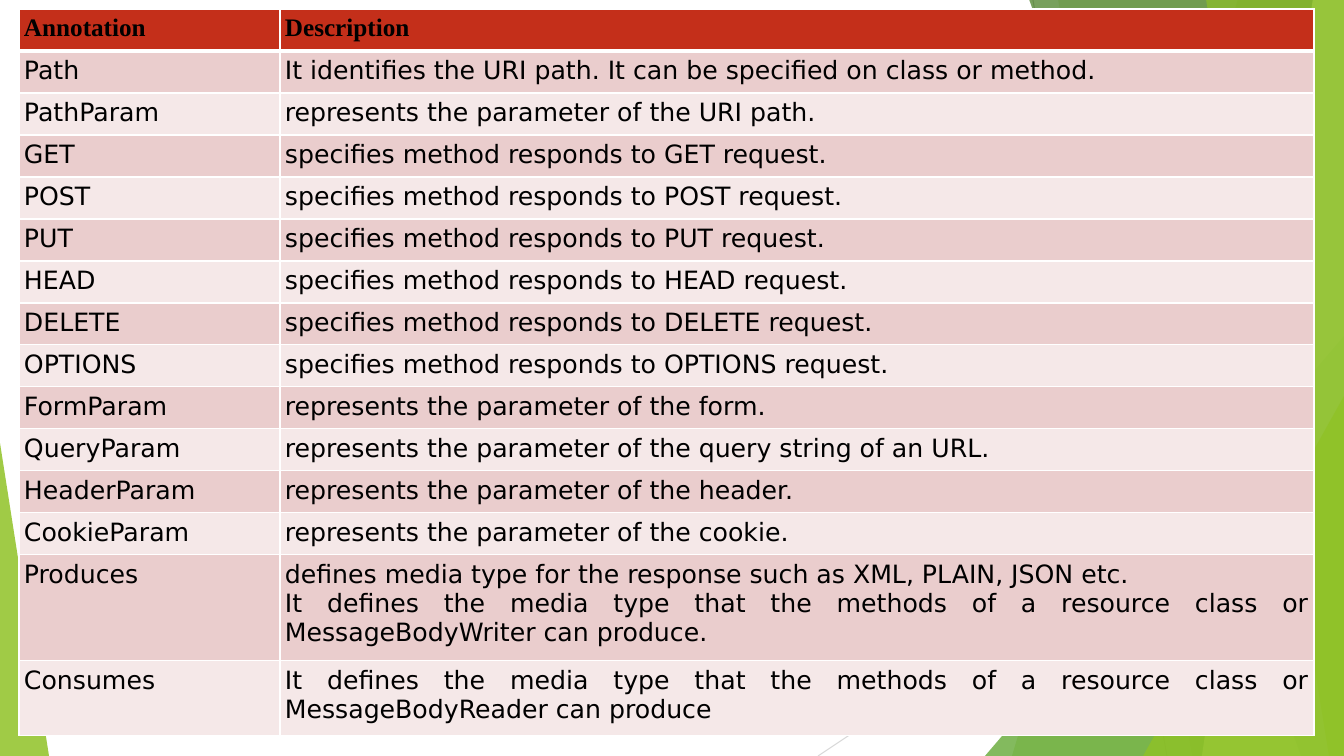
from dataclasses import dataclass

import pptx
import pptx.dml.color
import pptx.enum.shapes
import pptx.enum.text
import pptx.oxml
import pptx.oxml.ns
import pptx.util

RGBColor = pptx.dml.color.RGBColor
WHITE = RGBColor(0xFF, 0xFF, 0xFF)
BLACK = RGBColor(0x00, 0x00, 0x00)
RED = RGBColor(0xC4, 0x2F, 0x1A)
ROSE = RGBColor(0xEA, 0xCD, 0xCD)
PALE_ROSE = RGBColor(0xF5, 0xE8, 0xE8)
LEAF = RGBColor(0x90, 0xC2, 0x26)
GRASS = RGBColor(0x54, 0xA0, 0x21)
FOREST = RGBColor(0x3F, 0x78, 0x19)
LIME = RGBColor(0xC0, 0xE4, 0x74)
GREY = RGBColor(0xBF, 0xBF, 0xBF)
LIGHT_GREY = RGBColor(0xD9, 0xD9, 0xD9)

SLIDE_W, SLIDE_H = 1344, 756
EMU_PER_PX = 12192000 / SLIDE_W
BODY_FONT, HEADER_FONT = "DejaVu Sans", "Times New Roman"
JUSTIFY = pptx.enum.text.PP_ALIGN.JUSTIFY


@dataclass
class Ray:
    start: tuple[int, int]
    end: tuple[int, int]
    color: RGBColor


@dataclass
class Band:
    """Runs down the right edge, its left side slanting from top_x to bottom_x."""
    top_x: int
    bottom_x: int
    color: RGBColor
    opacity: int


@dataclass
class Wedge:
    left: int
    top: int
    width: int
    apex: float
    color: RGBColor
    opacity: int


@dataclass
class Annotation:
    name: str
    description: str
    height: int = 42


RAYS = [
    Ray((1033, 0), (1167, SLIDE_H), GREY),
    Ray((SLIDE_W, 406), (818, SLIDE_H), LIGHT_GREY),
]
# Facets from back to front
FACETS = [
    Band(1238, 1012, LEAF, 30),
    Band(1058, 1192, LEAF, 20),
    Wedge(985, 336, 359, 1, GRASS, 72),
    Band(1029, 1301, FOREST, 70),
    Band(1313, 1202, LIME, 70),
    Band(1206, 1329, LEAF, 65),
    Wedge(1143, 396, 201, 1, LEAF, 80),
    Wedge(0, 443, 49, 0, LEAF, 85),
]
HTTP_METHODS = ["GET", "POST", "PUT", "HEAD", "DELETE", "OPTIONS"]
PARAMETERS = {
    "FormParam": "form",
    "QueryParam": "query string of an URL",
    "HeaderParam": "header",
    "CookieParam": "cookie",
}
ANNOTATIONS = [
    Annotation("Annotation", "Description"),
    Annotation("Path", "It identifies the URI path. It can be specified on class or method."),
    Annotation("PathParam", "represents the parameter of the URI path."),
    *(Annotation(method, f"specifies method responds to {method} request.")
      for method in HTTP_METHODS),
    *(Annotation(name, f"represents the parameter of the {part}.")
      for name, part in PARAMETERS.items()),
    Annotation("Produces",
               "defines media type for the response such as XML, PLAIN, JSON etc.\n"
               "It defines the media type that the methods of a resource class or "
               "MessageBodyWriter can produce.", 106),
    Annotation("Consumes",
               "It defines the media type that the methods of a resource class or "
               "MessageBodyReader can produce", 75),
]


def px(length: int) -> pptx.util.Emu:
    return pptx.util.Emu(round(length * EMU_PER_PX))


def draw_ray(slide, ray: Ray) -> None:
    line = slide.shapes.add_connector(
        pptx.enum.shapes.MSO_CONNECTOR.STRAIGHT,
        *map(px, ray.start), *map(px, ray.end))
    line.line.color.rgb = ray.color
    line.line.width = pptx.util.Pt(0.75)
    pptx.oxml.ns.qn("a:effectLst")
    line._element.spPr.append(
        pptx.oxml.parse_xml(f"<a:effectLst {pptx.oxml.ns.nsdecls('a')}/>"))


def draw_facet(slide, facet: Band | Wedge) -> None:
    if isinstance(facet, Band):
        builder = slide.shapes.build_freeform(facet.top_x, -1, scale=EMU_PER_PX)
        builder.add_line_segments(
            [(SLIDE_W, -1), (SLIDE_W, SLIDE_H), (facet.bottom_x, SLIDE_H)], close=True)
        shape = builder.convert_to_shape()
    else:
        shape = slide.shapes.add_shape(
            pptx.enum.shapes.MSO_SHAPE.ISOSCELES_TRIANGLE,
            px(facet.left), px(facet.top), px(facet.width), px(SLIDE_H - facet.top))
        shape.adjustments[0] = facet.apex
    shape.shadow.inherit = False
    shape.line.fill.background()
    shape.fill.solid()
    shape.fill.fore_color.rgb = facet.color
    color = shape._element.spPr.find(".//" + pptx.oxml.ns.qn("a:srgbClr"))
    color.append(pptx.oxml.parse_xml(
        f'<a:alpha {pptx.oxml.ns.nsdecls("a")} val="{facet.opacity * 1000}"/>'))


def write_text(frame, text: str, *, font: str, bold: bool = False, align=None) -> None:
    frame.text = text
    for paragraph in frame.paragraphs:
        paragraph.alignment = align
        for run in paragraph.runs:
            run.font.name = font
            run.font.size = pptx.util.Pt(18)
            run.font.bold = bold
            run.font.color.rgb = BLACK


def set_borders(cell, widths: dict[str, int]) -> None:
    properties = cell._tc.get_or_add_tcPr()
    for index, (side, width) in enumerate(widths.items()):
        properties.insert(index, pptx.oxml.parse_xml(
            f'<a:ln{side} {pptx.oxml.ns.nsdecls("a")} w="{pptx.util.Pt(width)}">'
            f'<a:solidFill><a:srgbClr val="{WHITE}"/></a:solidFill></a:ln{side}>'))


def draw_annotations(slide) -> None:
    columns = [261, 1034]
    height = sum(annotation.height for annotation in ANNOTATIONS)
    table = slide.shapes.add_table(
        len(ANNOTATIONS), len(columns),
        px(19), px(9), px(sum(columns)), px(height)).table
    for column, width in zip(table.columns, columns):
        column.width = px(width)
    for index, annotation in enumerate(ANNOTATIONS):
        table.rows[index].height = px(annotation.height)
        header = index == 0
        fill = RED if header else ROSE if index % 2 else PALE_ROSE
        borders = {"L": 1, "R": 1, "T": 3 if index == 1 else 1, "B": 3 if header else 1}
        for cell, text in zip(table.rows[index].cells,
                              (annotation.name, annotation.description)):
            cell.margin_left = cell.margin_right = px(5)
            cell.margin_top = cell.margin_bottom = px(5)
            cell.fill.solid()
            cell.fill.fore_color.rgb = fill
            set_borders(cell, borders)
            write_text(cell.text_frame, text, bold=header,
                       font=HEADER_FONT if header else BODY_FONT,
                       align=None if header else JUSTIFY)


def main() -> None:
    deck = pptx.Presentation()
    deck.slide_width, deck.slide_height = px(SLIDE_W), px(SLIDE_H)
    slide = deck.slides.add_slide(deck.slide_layouts[6])

    # Green facets behind the table
    for ray in RAYS:
        draw_ray(slide, ray)
    for facet in FACETS:
        draw_facet(slide, facet)

    # Annotation table
    draw_annotations(slide)
    deck.save("out.pptx")


if __name__ == "__main__":
    main()
